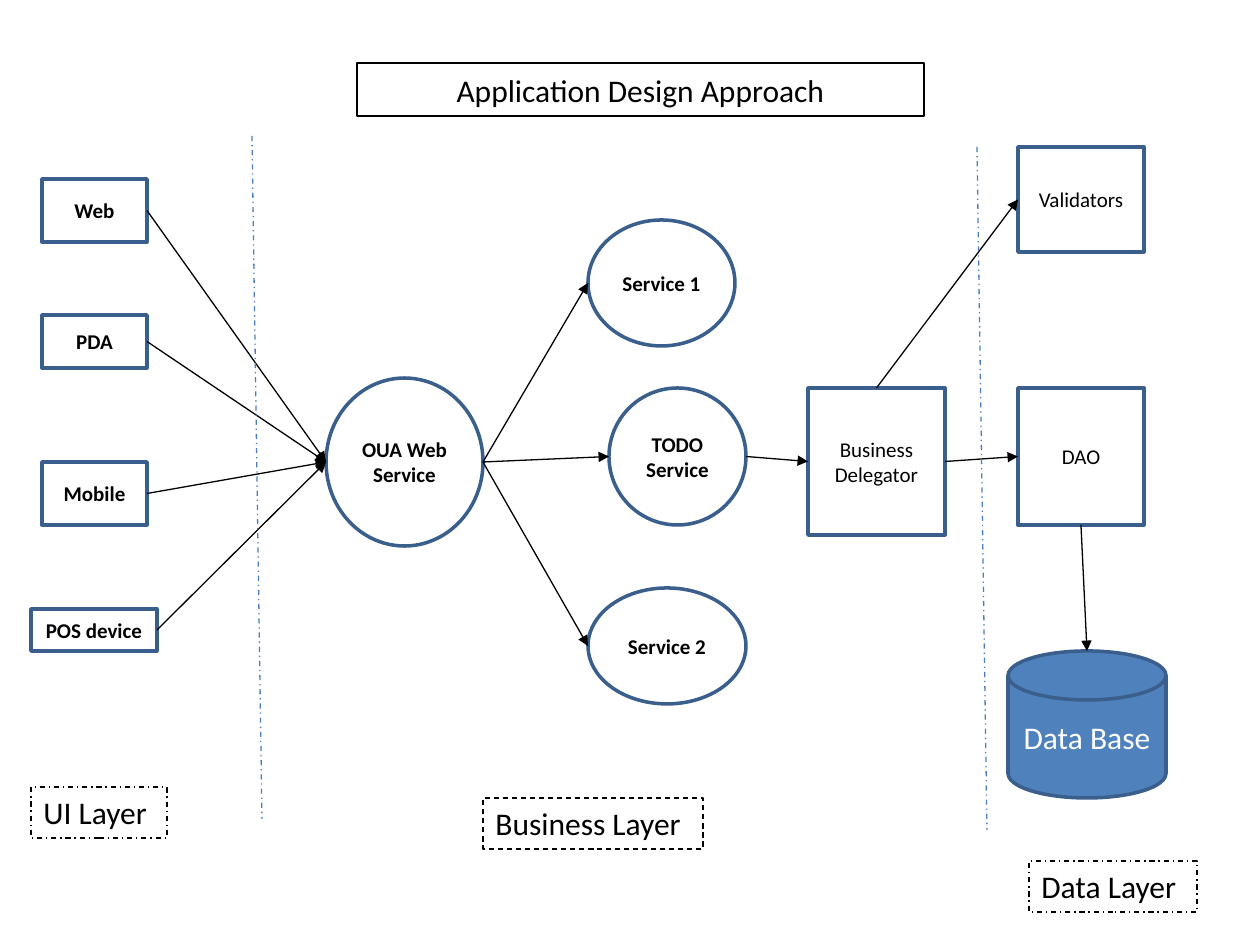
from lxml.etree import SubElement
from pptx import Presentation
from pptx.dml.color import RGBColor
from pptx.enum.dml import MSO_LINE
from pptx.enum.shapes import MSO_CONNECTOR, MSO_SHAPE
from pptx.enum.text import MSO_ANCHOR, MSO_AUTO_SIZE, PP_ALIGN
from pptx.oxml.ns import qn
from pptx.util import Emu, Inches, Pt

BLACK = RGBColor(0, 0, 0)
WHITE = RGBColor(255, 255, 255)
EDGE = RGBColor(0x3A, 0x5F, 0x8C)
RULE = RGBColor(0x4B, 0x7E, 0xBC)
DISK = RGBColor(0x4F, 0x81, 0xBD)
RECT, OVAL = MSO_SHAPE.RECTANGLE, MSO_SHAPE.OVAL


def px(n):
    """Turn pixels into EMU."""
    return Emu(round(n * 914400 / 126))


def put_text(shape, text, size, color=BLACK, bold=False, align=PP_ALIGN.CENTER):
    """Write one paragraph into a shape."""
    frame = shape.text_frame
    frame.word_wrap = True
    frame.vertical_anchor = MSO_ANCHOR.MIDDLE
    para = frame.paragraphs[0]
    para.text = text
    para.alignment = align
    font = para.font
    font.name, font.size, font.bold = "Calibri", Pt(size), bold
    font.color.rgb = color


def add_node(slide, box, text, kind=RECT, bold=True, size=12, color=BLACK, fill=None):
    """Add an outlined shape with centred text."""
    shape = slide.shapes.add_shape(kind, *map(px, box))
    shape.shadow.inherit = False
    if fill is None:
        shape.fill.background()
    else:
        shape.fill.solid()
        shape.fill.fore_color.rgb = fill
    shape.line.color.rgb = EDGE
    shape.line.width = Pt(2)
    put_text(shape, text, size, color, bold)
    return shape


def add_frame(slide, box, text, dash=None, align=PP_ALIGN.LEFT):
    """Add a text box with a thin black border."""
    frame = slide.shapes.add_textbox(*map(px, box))
    frame.line.color.rgb = BLACK
    frame.line.width = Pt(0.75)
    put_text(frame, text, 18, align=align)
    if dash:
        frame.line.dash_style = dash
        frame.text_frame.vertical_anchor = MSO_ANCHOR.TOP
        frame.text_frame.auto_size = MSO_AUTO_SIZE.SHAPE_TO_FIT_TEXT


def add_line(slide, start, end, color):
    """Add a thin straight line without shadow."""
    line = slide.shapes.add_connector(MSO_CONNECTOR.STRAIGHT, *start, *end)
    line.line.color.rgb = color
    line.line.width = Pt(0.75)
    SubElement(line._element.spPr, qn("a:effectLst"))
    return line


def side(shape, name):
    """Return the middle of one side of a shape."""
    across, down = {"left": (0, 1), "right": (2, 1), "top": (1, 0), "bottom": (1, 2)}[name]
    return shape.left + shape.width * across // 2, shape.top + shape.height * down // 2


def link(slide, first, last, out="right", into="left"):
    """Draw an arrow between sides of two shapes."""
    arrow = add_line(slide, side(first, out), side(last, into), BLACK)
    SubElement(arrow.line._get_or_add_ln(), qn("a:tailEnd"), type="triangle")


def divide(slide, x, y):
    """Draw the slanted border between two layers."""
    rule = add_line(slide, (px(x), px(y)), (px(x + 10), px(y + 683)), RULE)
    rule.line.dash_style = MSO_LINE.DASH_DOT


def add_ui(slide, x, y):
    """Place the client devices and return them."""
    rows = [("Web", 11, 0, 105, 63), ("PDA", 11, 136, 105, 53),
            ("Mobile", 11, 283, 105, 63), ("POS device", 0, 430, 126, 42)]
    nodes = [add_node(slide, (x + dx, y + dy, w, h), text) for text, dx, dy, w, h in rows]
    add_frame(slide, (x, y + 608, 136, 51), "UI Layer", MSO_LINE.DASH_DOT)
    return nodes


def add_core(slide, x, y):
    """Place the services and return the entry and the delegator."""
    hub = add_node(slide, (x, y + 158, 157, 168), "OUA Web Service", OVAL)
    rows = [("Service 1", 262, 0, 147, 126), ("TODO Service", 283, 168, 137, 137),
            ("Service 2", 262, 368, 158, 116)]
    parts = [add_node(slide, (x + dx, y + dy, w, h), text, OVAL) for text, dx, dy, w, h in rows]
    broker = add_node(slide, (x + 482, y + 168, 137, 147), "Business Delegator", bold=False)
    for part in parts:
        link(slide, hub, part)
    link(slide, parts[1], broker)
    add_frame(slide, (x + 157, y + 578, 220, 51), "Business Layer", MSO_LINE.DASH)
    return hub, broker


def add_data(slide, x, y):
    """Place the data parts and return the validators and the DAO."""
    checks = add_node(slide, (x + 10, y, 126, 105), "Validators", bold=False)
    dao = add_node(slide, (x + 10, y + 241, 126, 137), "DAO", bold=False)
    store = add_node(slide, (x, y + 504, 158, 147), "Data Base",
                     MSO_SHAPE.FLOWCHART_MAGNETIC_DISK, False, 18, WHITE, DISK)
    link(slide, dao, store, "bottom", "top")
    add_frame(slide, (x + 21, y + 714, 168, 51), "Data Layer", MSO_LINE.DASH_DOT)
    return checks, dao


def build():
    """Build and save the slide."""
    deck = Presentation()
    deck.slide_width, deck.slide_height = Inches(10), Inches(7.5)
    slide = deck.slides.add_slide(deck.slide_layouts[6])
    add_frame(slide, (357, 63, 567, 53), "Application Design Approach", align=PP_ALIGN.CENTER)
    clients = add_ui(slide, 31, 179)
    hub, broker = add_core(slide, 326, 220)
    checks, dao = add_data(slide, 1008, 147)
    for client in clients:
        link(slide, client, hub)
    link(slide, broker, checks, "top")
    link(slide, broker, dao)
    divide(slide, 252, 136)
    divide(slide, 977, 147)
    deck.save("out.pptx")


build()
